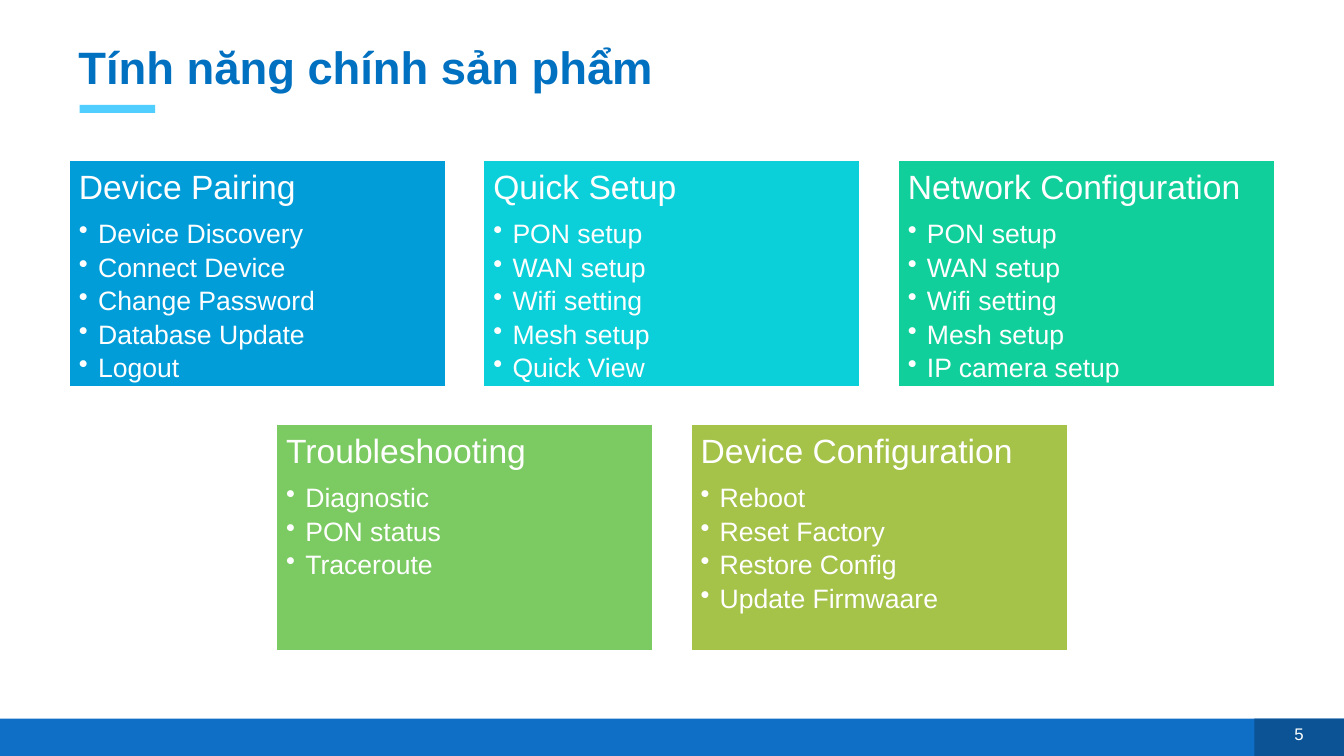
"""Builds the product feature slide with five coloured cards."""
from lxml import etree
from pptx import Presentation
from pptx import util as u
from pptx.dml.color import RGBColor
from pptx.enum import shapes, text
from pptx.oxml.ns import qn

SLIDE_W, CARD_W, CARD_H, GAP = 13.33, 3.74, 2.25, 0.37
ROW_TOP, ROW_PITCH = 1.59, 2.62
CARD_ROWS = [
    [("Device Pairing", "009DD9",
      ["Device Discovery", "Connect Device", "Change Password", "Database Update", "Logout"]),
     ("Quick Setup", "0BD0D9",
      ["PON setup", "WAN setup", "Wifi setting", "Mesh setup", "Quick View"]),
     ("Network Configuration", "10CF9B",
      ["PON setup", "WAN setup", "Wifi setting", "Mesh setup", "IP camera setup"])],
    [("Troubleshooting", "7CCA62", ["Diagnostic", "PON status", "Traceroute"]),
     ("Device Configuration", "A5C249",
      ["Reboot", "Reset Factory", "Restore Config", "Update Firmwaare"])],
]


def add_box(s, left, top, width, height, fill=None, line=None):
    sp = s.shapes.add_shape(shapes.MSO_SHAPE.RECTANGLE,
                            *[u.Inches(v) for v in (left, top, width, height)])
    sp.shadow.inherit = False
    for part, color in ((sp.fill, fill), (sp.line.fill, line)):
        if color:
            part.solid()
            part.fore_color.rgb = RGBColor.from_string(color)
        else:
            part.background()
    tf = sp.text_frame
    tf.word_wrap = True
    tf.vertical_anchor = text.MSO_ANCHOR.TOP
    return sp


def write(p, words, size, color="FFFFFF", bold=False, **para):
    for name, value in {"alignment": text.PP_ALIGN.LEFT, **para}.items():
        setattr(p, name, value)
    r = p.add_run()
    r.text = words
    for name, value in {"name": "Arial", "size": u.Pt(size), "bold": bold}.items():
        setattr(r.font, name, value)
    r.font.color.rgb = RGBColor.from_string(color)


prs = Presentation()
prs.slide_width, prs.slide_height = u.Inches(SLIDE_W), u.Inches(7.5)
s = prs.slides.add_slide(prs.slide_layouts[6])

add_box(s, 0, 7.13, SLIDE_W, 0.37, "0F6FC6")
page = add_box(s, 12.44, 7.13, 0.89, 0.37, "0B5394")
write(page.text_frame.paragraphs[0], "5", 12, alignment=text.PP_ALIGN.CENTER)
add_box(s, 0.79, 1.04, 0.75, 0.08, "4FCEFF")

title = s.shapes.add_textbox(*[u.Inches(v) for v in (0.68, 0.29, 11.98, 0.63)])
tf = title.text_frame
for name, value in {"word_wrap": True, "vertical_anchor": text.MSO_ANCHOR.MIDDLE,
                    "margin_top": u.Inches(0.1), "margin_bottom": 0}.items():
    setattr(tf, name, value)
write(tf.paragraphs[0], "Tính năng chính sản phẩm", 32.4, "0070C0", True)

for row, cards in enumerate(CARD_ROWS):
    row_w = len(cards) * (CARD_W + GAP) - GAP
    for col, (heading, color, items) in enumerate(cards):
        sp = add_box(s, (SLIDE_W - row_w) / 2 + col * (CARD_W + GAP),
                     ROW_TOP + row * ROW_PITCH, CARD_W, CARD_H, color, "FFFFFF")
        sp.line.width = u.Pt(1.5)
        tf = sp.text_frame
        for side in ("left", "top", "right", "bottom"):
            setattr(tf, f"margin_{side}", u.Inches(0.1))
        write(tf.paragraphs[0], heading, 24, line_spacing=0.9, space_after=u.Pt(10.1))
        for item in items:
            p = tf.add_paragraph()
            pPr = p._p.get_or_add_pPr()
            pPr.set("marL", str(u.Inches(0.19)))
            pPr.set("indent", str(-u.Inches(0.19)))
            etree.SubElement(pPr, qn("a:buChar")).set("char", "•")
            write(p, item, 19, level=1, line_spacing=0.9, space_after=u.Pt(3.4))

prs.save("out.pptx")
